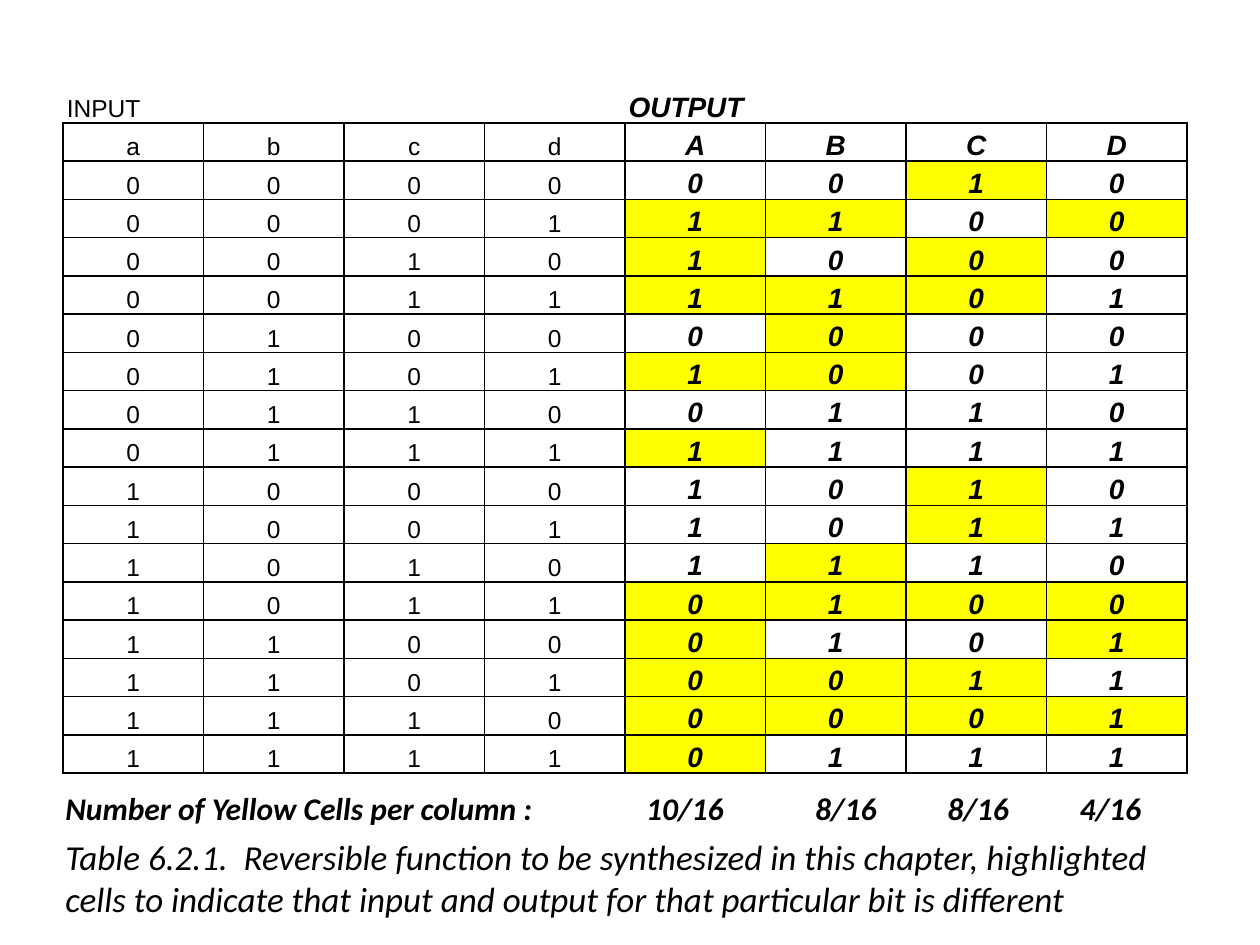
import pptx
import pptx.dml.color
import pptx.enum.text
import pptx.oxml.ns
import pptx.util
from lxml import etree

Inches = pptx.util.Inches
Align = pptx.enum.text.PP_ALIGN
BLACK = pptx.dml.color.RGBColor(0x00, 0x00, 0x00)
YELLOW = pptx.dml.color.RGBColor(0xFF, 0xFF, 0x00)
qn = pptx.oxml.ns.qn

# Output bits ABCD for each input abcd, counted up from 0000.
OUTPUTS = ["0010", "1100", "1000", "1101", "0000", "1001", "0110", "1111",
           "1010", "1011", "1110", "0100", "0101", "0011", "0001", "0111"]
COUNTS = ["10/16", "8/16", "8/16", "4/16"]
STOPS = [4.61, 5.95, 7.0, 8.05]


def write(frame, text, font="Arial", size=14, bold=False, italic=False,
          align=Align.LEFT):
    par = frame.paragraphs[0]
    par.alignment = align
    run = par.add_run()
    run.text = text
    run.font.name = font
    run.font.size = pptx.util.Pt(size)
    run.font.bold = bold
    run.font.italic = italic
    run.font.color.rgb = BLACK
    return par


def edge(cell, sides):
    """Draw black 1 pt lines on the given sides and none on the others."""
    props = cell._tc.get_or_add_tcPr()
    for side in "LRTB":
        line = etree.SubElement(props, qn(f"a:ln{side}"), w="12700")
        if side in sides:
            fill = etree.SubElement(line, qn("a:solidFill"))
            etree.SubElement(fill, qn("a:srgbClr"), val=str(BLACK))
        else:
            etree.SubElement(line, qn("a:noFill"))


def tabs(par, stops):
    group = etree.SubElement(par._p.get_or_add_pPr(), qn("a:tabLst"))
    for stop in stops:
        etree.SubElement(group, qn("a:tab"), pos=str(Inches(stop)), algn="l")


class Page:
    def __init__(self, deck, font="Calibri"):
        self.slide = deck.slides.add_slide(deck.slide_layouts[6])
        self.font = font

    def note(self, text, left, top, width, height, **style):
        box = self.slide.shapes.add_textbox(
            Inches(left), Inches(top), Inches(width), Inches(height))
        box.text_frame.word_wrap = True
        return write(box.text_frame, text, font=self.font, italic=True, **style)

    def cell(self, cell, text, sides="LRTB", align=Align.CENTER,
             strong=False, marked=False):
        cell.margin_left = cell.margin_right = Inches(0.03)
        cell.margin_top = cell.margin_bottom = 0
        cell.vertical_anchor = pptx.enum.text.MSO_ANCHOR.BOTTOM
        edge(cell, sides)
        if marked:
            cell.fill.solid()
            cell.fill.fore_color.rgb = YELLOW
        else:
            cell.fill.background()
        if text:
            write(cell.text_frame, text, size=16 if strong else 14,
                  bold=strong, italic=strong, align=align)

    def truth(self, left, top, width, height):
        """Add the truth table, marking each output bit unlike its input."""
        rows = ["abcdABCD"]
        rows += [f"{i:04b}{out}" for i, out in enumerate(OUTPUTS)]
        table = self.slide.shapes.add_table(
            len(rows) + 1, 8, Inches(left), Inches(top),
            Inches(width), Inches(height)).table
        table.first_row = table.horz_banding = False
        heads = {0: "INPUT", 4: "OUTPUT"}
        for col in range(8):
            self.cell(table.cell(0, col), heads.get(col, ""), sides="B",
                      align=Align.LEFT, strong=col >= 4)
        for row, bits in enumerate(rows, 1):
            for col, bit in enumerate(bits):
                out = col >= 4
                marked = out and row > 1 and bit != bits[col - 4]
                self.cell(table.cell(row, col), bit, strong=out, marked=marked)


def main():
    deck = pptx.Presentation()
    deck.slide_width, deck.slide_height = Inches(10), Inches(7.5)
    page = Page(deck)
    page.truth(0.5, 0.67, 8.92, 5.47)
    page.note("Table 6.2.1.  Reversible function to be synthesized in this "
              "chapter, highlighted cells to indicate that input and output "
              "for that particular bit is different",
              0.42, 6.58, 9.17, 0.77, size=20)
    line = "\t".join(["Number of Yellow Cells per column :"] + COUNTS)
    tabs(page.note(line, 0.42, 6.21, 9.58, 0.71, size=18, bold=True), STOPS)
    deck.save("out.pptx")


if __name__ == "__main__":
    main()
